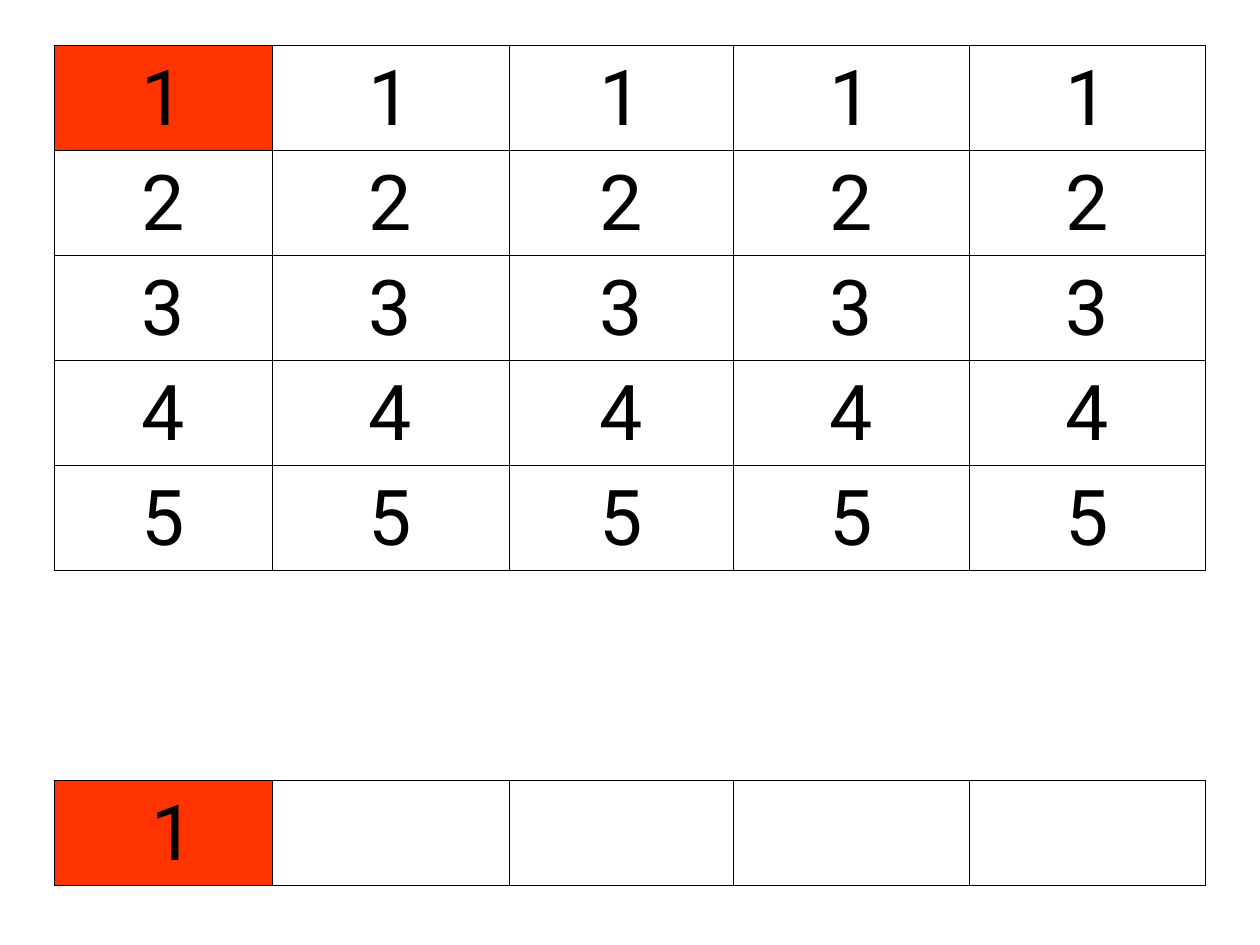
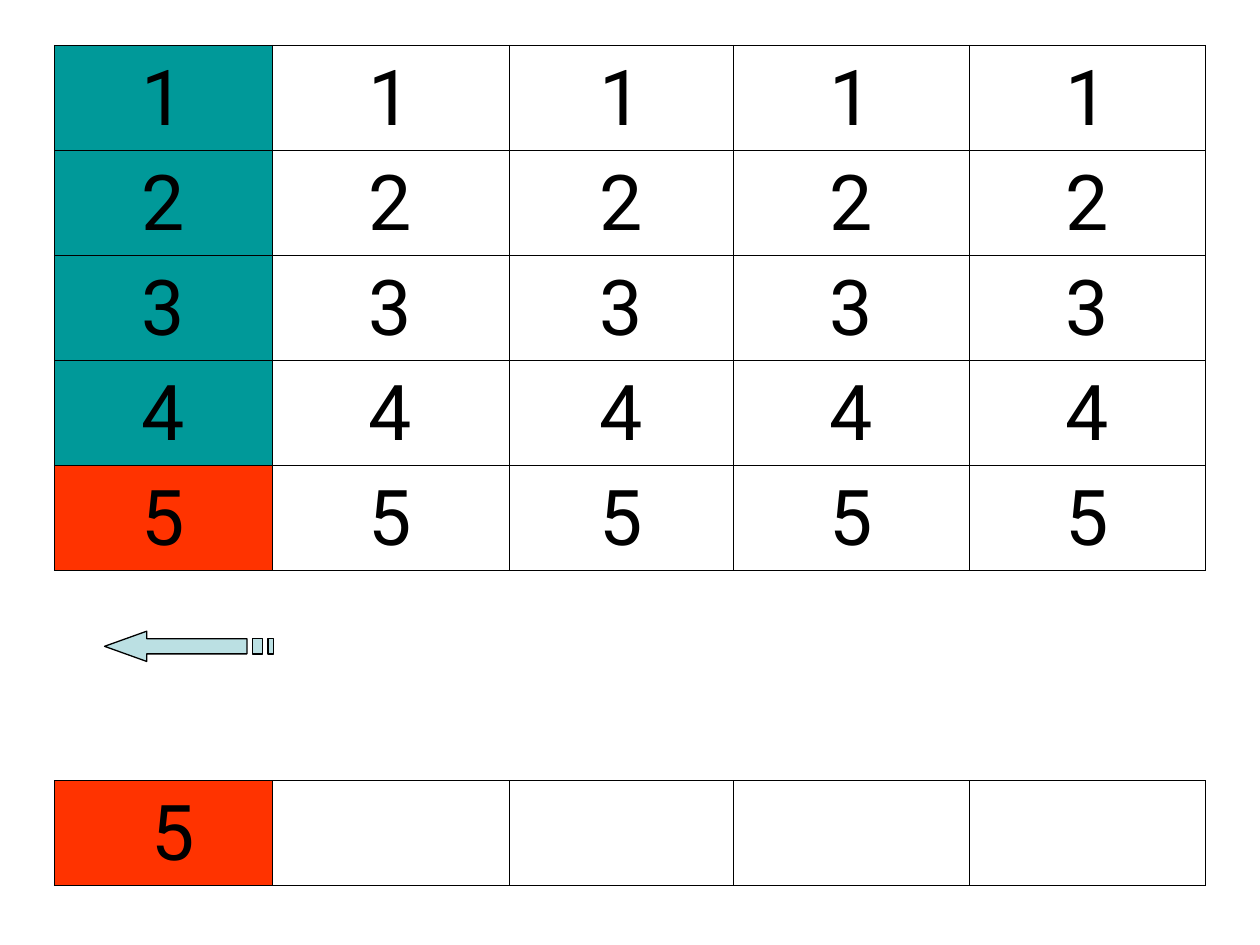
from lxml import etree
from pptx import Presentation
from pptx.dml.color import RGBColor
from pptx.enum.text import MSO_ANCHOR, PP_ALIGN
from pptx.oxml.ns import qn
from pptx.util import Inches, Pt

SLIDE_W, SLIDE_H = 10, 7.5
FONT = "Roboto"
BLACK, WHITE = "000000", "FFFFFF"
CURRENT, VISITED, ARROW = "FF3300", "009999", "BBE0E3"

COLUMN_WIDTHS = [1.73, 1.88, 1.78, 1.87, 1.88]
DOMAIN = ["1", "2", "3", "4", "5"]
GAP_ROW = len(DOMAIN)
RESULT_ROW = GAP_ROW + 1
ROW_SPANS = [1] * len(DOMAIN) + [2, 1]

BOARD_BOX = (0.43, 0.36, sum(COLUMN_WIDTHS), 6.67)
BACKTRACK_BOX = (0.83, 5.01, 1.34, 0.24)


def rgb(hex_code):
    return RGBColor.from_string(hex_code)


def draw_border(cell, side, visible):
    line = etree.SubElement(cell._tc.get_or_add_tcPr(), qn(f"a:ln{side}"), w=str(Pt(0.45)))
    if visible:
        paint = etree.SubElement(line, qn("a:solidFill"))
        etree.SubElement(paint, qn("a:srgbClr"), val=BLACK)
    else:
        etree.SubElement(line, qn("a:noFill"))


def write_digit(cell, digit):
    cell.vertical_anchor = MSO_ANCHOR.BOTTOM
    paragraph = cell.text_frame.paragraphs[0]
    paragraph.text = digit
    paragraph.alignment = PP_ALIGN.CENTER
    font = paragraph.runs[0].font
    font.name, font.size = FONT, Pt(44)
    font.color.rgb = rgb(BLACK)


def add_board(slide, box, current):
    """Place the grid of values, with the chosen value repeated in the result row."""
    left, top, width, height = map(Inches, box)
    board = slide.shapes.add_table(
        len(ROW_SPANS), len(COLUMN_WIDTHS), left, top, width, height).table
    board.first_row = board.horz_banding = False
    for column, column_width in zip(board.columns, COLUMN_WIDTHS):
        column.width = Inches(column_width)

    for r, span in enumerate(ROW_SPANS):
        board.rows[r].height = height * span // sum(ROW_SPANS)
        for c in range(len(COLUMN_WIDTHS)):
            cell = board.cell(r, c)
            for side in "LRTB":
                draw_border(cell, side, visible=r != GAP_ROW or side in "TB")
            if r == GAP_ROW:
                cell.fill.background()
                continue
            cell.fill.solid()
            color = WHITE
            if c == 0 and r in (current, RESULT_ROW):
                color = CURRENT
            elif c == 0 and r < current:
                color = VISITED
            cell.fill.fore_color.rgb = rgb(color)
            if r < GAP_ROW:
                write_digit(cell, DOMAIN[r])
            elif c == 0:
                write_digit(cell, " " + DOMAIN[current])


def add_backtrack_arrow(slide, box):
    """Draw a striped arrow pointing left, on a grid of 32 columns and 4 rows."""
    left, top, width, height = map(Inches, box)
    head_and_shaft = [(0, 2), (8, 0), (8, 1), (27, 1), (27, 3), (8, 3), (8, 4)]
    stripes = [[(a, 1), (b, 1), (b, 3), (a, 3)] for a, b in ((28, 30), (31, 32))]

    builder = slide.shapes.build_freeform(*head_and_shaft[0], scale=(width / 32, height / 4))
    builder.add_line_segments(head_and_shaft[1:], close=True)
    for stripe in stripes:
        builder.move_to(*stripe[0])
        builder.add_line_segments(stripe[1:], close=True)
    arrow = builder.convert_to_shape(left, top)
    arrow.shadow.inherit = False
    arrow.fill.solid()
    arrow.fill.fore_color.rgb = rgb(ARROW)
    arrow.line.color.rgb = rgb(BLACK)
    arrow.line.width = Pt(0.75)


def add_step(prs, current, backtrack=False):
    slide = prs.slides.add_slide(prs.slide_layouts[6])
    add_board(slide, BOARD_BOX, current)
    if backtrack:
        add_backtrack_arrow(slide, BACKTRACK_BOX)


def main():
    prs = Presentation()
    prs.slide_width, prs.slide_height = Inches(SLIDE_W), Inches(SLIDE_H)
    add_step(prs, current=0)
    add_step(prs, current=4, backtrack=True)
    prs.save("out.pptx")


if __name__ == "__main__":
    main()
